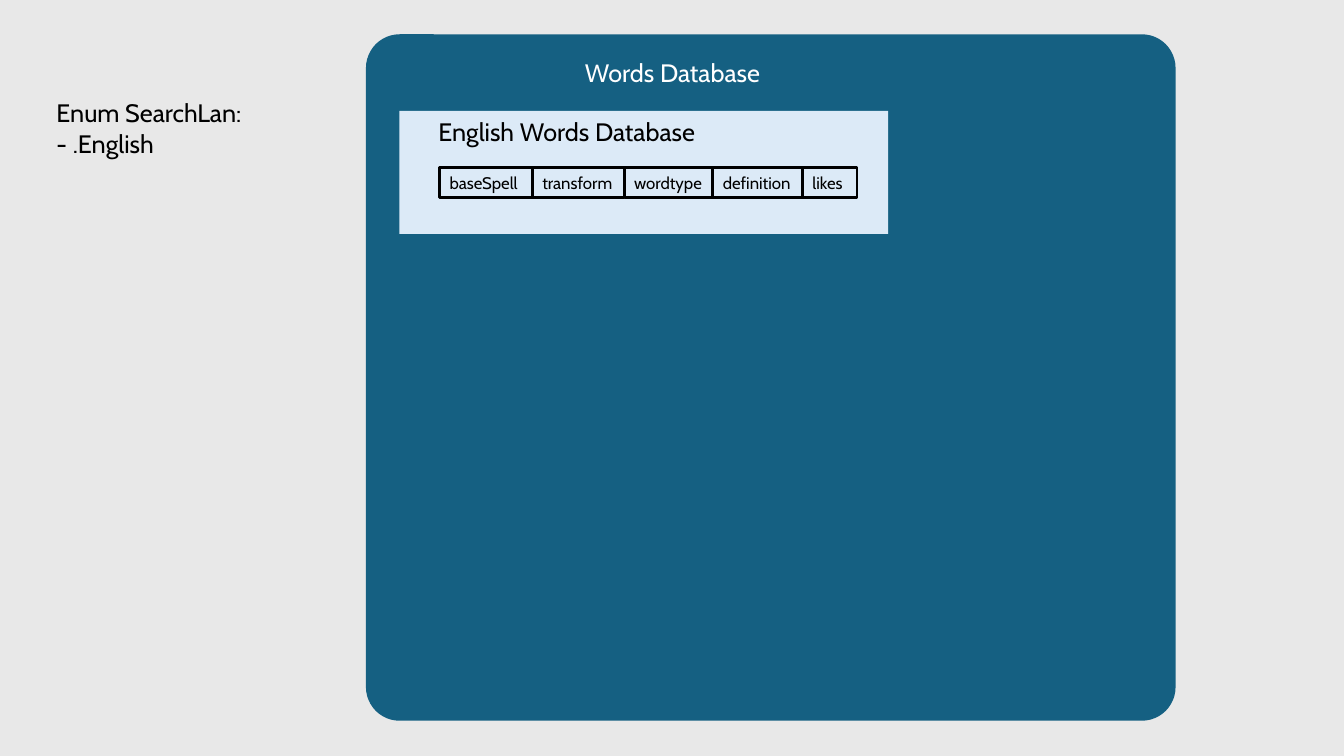
from itertools import accumulate

from lxml.etree import SubElement
from pptx import Presentation
from pptx.dml.color import RGBColor
from pptx.enum.shapes import MSO_SHAPE
from pptx.enum.text import MSO_ANCHOR, MSO_AUTO_SIZE, PP_ALIGN
from pptx.oxml.ns import qn
from pptx.util import Inches, Pt

WIDTH, HEIGHT = 13.33, 7.5
FONT = "Cabin"
COLUMNS = {
    "baseSpell": 0.92,
    "transform": 0.91,
    "wordtype": 0.88,
    "definition": 0.89,
    "likes": 0.54,
}


def color(value):
    return RGBColor.from_string(value)


def place(sp, x, y, w, h):
    sp.left, sp.top, sp.width, sp.height = map(Inches, (x, y, w, h))


def write(sp, text, size=18, ink="000000", align=PP_ALIGN.LEFT, wrap=True):
    tf = sp.text_frame
    tf.text = text
    tf.word_wrap = wrap
    tf.auto_size = MSO_AUTO_SIZE.SHAPE_TO_FIT_TEXT
    tf.vertical_anchor = MSO_ANCHOR.TOP
    for p in tf.paragraphs:
        p.alignment = align
        p.space_before = Pt(0)
        for r in p.runs:
            r.font.name = FONT
            r.font.size = Pt(size)
            r.font.color.rgb = color(ink)


def add_box(slide, kind, box, fill=None, line=None):
    sp = slide.shapes.add_shape(kind, *map(Inches, box))
    sp.shadow.inherit = False
    if fill:
        sp.fill.solid()
        sp.fill.fore_color.rgb = color(fill)
    else:
        sp.fill.background()
    if line:
        sp.line.color.rgb = color(line)
        sp.line.width = Pt(2)
    else:
        sp.line.fill.background()
    return sp


def add_enum_list(slide, x, y, w, h):
    body = slide.placeholders[1]
    place(body, x, y, w, h)
    write(body, "Enum SearchLan:\n- .English")
    for p in body.text_frame.paragraphs:
        pPr = p._p.get_or_add_pPr()
        pPr.set("marL", "0")
        pPr.set("indent", "0")
        SubElement(pPr, qn("a:buNone"))


def add_database_panel(slide, x, y, w, h):
    panel = add_box(slide, MSO_SHAPE.ROUNDED_RECTANGLE, (x, y, w, h), fill="156082")
    panel.adjustments[0] = 0.049
    title = slide.shapes.title
    place(title, x + 2.03, y + 0.18, 2.02, 0.4)
    write(title, "Words Database", ink="FFFFFF", align=PP_ALIGN.CENTER)
    panel.element.addnext(title.element)
    add_language_card(slide, x + 0.33, y + 0.76, 4.85, 1.22)


def add_language_card(slide, x, y, w, h):
    add_box(slide, MSO_SHAPE.RECTANGLE, (x, y, w, h), fill="DCEAF7")
    heading = slide.shapes.add_textbox(*map(Inches, (x + 0.29, y, 2.86, 0.4)))
    write(heading, "English Words Database")
    add_columns(slide, x + 0.4, y + 0.56, 0.3)


def add_columns(slide, x, y, h):
    lefts = accumulate(COLUMNS.values(), initial=x)
    for left, (name, w) in zip(lefts, COLUMNS.items()):
        cell = add_box(slide, MSO_SHAPE.RECTANGLE, (left, y, w, h), line="000000")
        write(cell, name, size=12, wrap=False)
        cell.text_frame.margin_right = Inches(0.04)


def main():
    prs = Presentation()
    prs.slide_width, prs.slide_height = Inches(WIDTH), Inches(HEIGHT)
    slide = prs.slides.add_slide(prs.slide_layouts[1])
    slide.background.fill.solid()
    slide.background.fill.fore_color.rgb = color("E8E8E8")
    add_database_panel(slide, 3.63, 0.34, 8.03, 6.81)
    add_enum_list(slide, 0.46, 0.92, 2.73, 0.71)
    prs.save("out.pptx")


if __name__ == "__main__":
    main()
